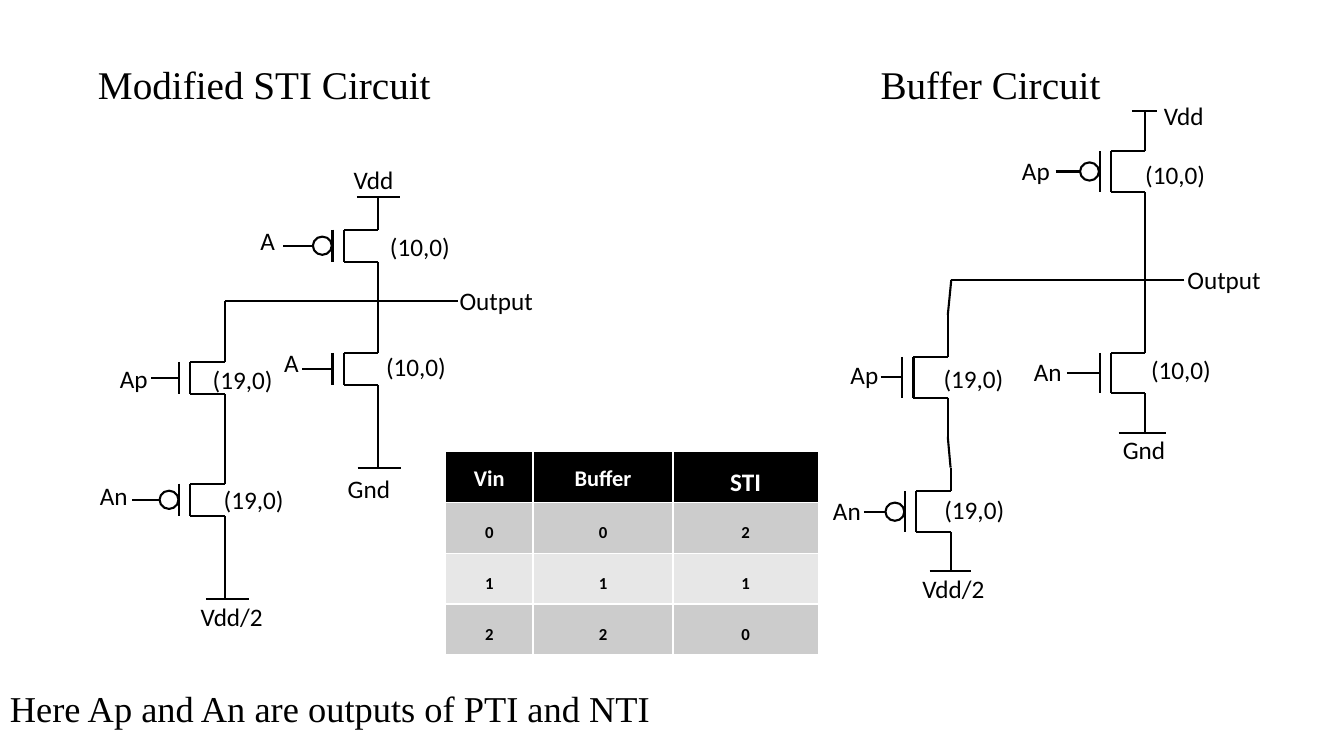
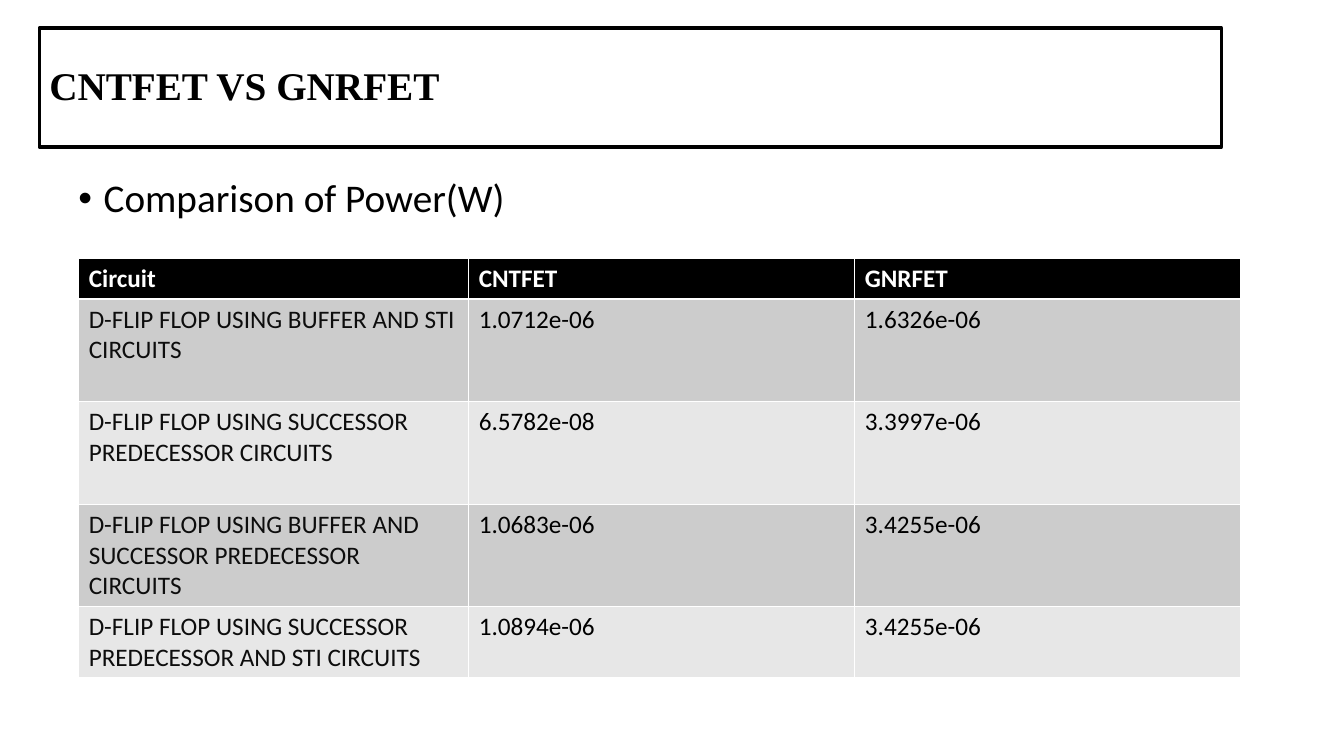
import itertools
from dataclasses import dataclass

import pptx
import pptx.util
import pptx.dml.color
import pptx.enum.shapes
import pptx.enum.text
import pptx.oxml
import pptx.oxml.ns

Pt = pptx.util.Pt
RGB = pptx.dml.color.RGBColor.from_string
ALIGN = pptx.enum.text.PP_ALIGN
MIDDLE = pptx.enum.text.MSO_ANCHOR.MIDDLE


@dataclass(frozen=True)
class Theme:
    ink: str = "000000"
    soft_ink: str = "0D0D0D"
    paper: str = "FFFFFF"
    bands: tuple = ("CCCCCC", "E7E7E7")
    serif: str = "Times New Roman"
    sans: str = "Calibri"
    title: float = 28
    note: float = 26
    label: float = 18
    header: float = 16
    cell: float = 12
    wire: float = 1.5
    frame: float = 2.25


T = Theme()

HEADINGS = "Modified STI Circuit\tBuffer Circuit"
NOTE = "Here Ap and An are outputs of PTI and NTI"
STI = {
    "height": 23,
    "transistors": [
        ("p", 270, 164, 202.5), ("n", 270, 252, 216),
        ("n", 160.5, 258.5, 108), ("p", 160.5, 345.5, 94.5),
    ],
    "wires": [
        [(270, 141), (270, 164)],
        [(270, 187), (270, 252)],
        [(270, 275), (270, 334)],
        [(327, 215), (160.5, 215), (160.5, 258.5)],
        [(160.5, 281.5), (160.5, 345.5)],
        [(160.5, 368.5), (160.5, 428)],
    ],
    "rails": [(255, 286, 141), (255.5, 286.5, 334), (147, 178, 428)],
    "labels": [
        ("Vdd", 252.7, 128.2), ("Vdd/2", 143.3, 440.6), ("Gnd", 248.4, 349.2),
        ("A", 186, 172), ("A", 203, 259.2), ("Ap", 85.7, 270), ("An", 71.4, 354.2),
        ("(10,0)", 278.6, 175.7), ("(10,0)", 275.8, 262),
        ("(19,0)", 152, 271.4), ("(19,0)", 159.8, 356.4), ("Output", 328.3, 214.6),
    ],
}
BUFFER = {
    "height": 29,
    "transistors": [
        ("p", 818, 108, 754), ("n", 818, 252, 762),
        ("n", 677, 255, 629), ("p", 679, 351, 617),
    ],
    "wires": [
        [(818, 79), (818, 108)],
        [(818, 137), (818, 252)],
        [(818, 281), (818, 309)],
        [(846, 200), (679.5, 200), (677, 225), (677, 255)],
        [(677, 284), (677, 312), (679, 334), (679, 351)],
        [(679, 380), (679, 408)],
    ],
    "rails": [(808.5, 826.5, 79), (799, 833, 309), (664, 693.5, 408)],
    "labels": [
        ("Vdd", 831.4, 82.8), ("Vdd/2", 658.8, 420.5), ("Gnd", 802, 321),
        ("Ap", 730, 121.7), ("An", 738.5, 265), ("Ap", 607.5, 267.8), ("An", 595, 364.3),
        ("(10,0)", 818, 124.6), ("(10,0)", 822.2, 264.2),
        ("(19,0)", 674, 270), ("(19,0)", 674.6, 363.6), ("Output", 848.2, 199.4),
    ],
}
TRUTH = [
    ("Vin", "Buffer", "STI"),
    ("0", "0", "2"),
    ("1", "1", "1"),
    ("2", "2", "0"),
]

COMPARISON_TITLE = "CNTFET VS GNRFET"
BULLET = "Comparison of Power(W)"
POWER = [
    ("Circuit", "CNTFET", "GNRFET"),
    ("D-FLIP FLOP USING BUFFER AND STI CIRCUITS", "1.0712e-06", "1.6326e-06"),
    ("D-FLIP FLOP USING SUCCESSOR PREDECESSOR CIRCUITS", "6.5782e-08", "3.3997e-06"),
    ("D-FLIP FLOP USING BUFFER AND SUCCESSOR PREDECESSOR CIRCUITS", "1.0683e-06", "3.4255e-06"),
    ("D-FLIP FLOP USING SUCCESSOR PREDECESSOR AND STI CIRCUITS", "1.0894e-06", "3.4255e-06"),
]

STUB, PLATE_GAP, BUBBLE_W, BUBBLE_H = 24.5, 8, 13.5, 13


def style(p, font, size, color=T.ink, bold=False):
    for r in p.runs:
        r.font.name, r.font.size, r.font.bold = font, Pt(size), bold
        r.font.color.rgb = RGB(color)


def add_ppr(p, xml):
    ns = pptx.oxml.ns.nsdecls("a")
    p._p.get_or_add_pPr().append(pptx.oxml.parse_xml(xml.replace("/>", f" {ns}/>", 1)
                                 if xml.endswith("/>") and xml.count("<") == 1
                                 else xml.replace(">", f" {ns}>", 1)))


def set_margins(tf, x, y):
    tf.margin_left = tf.margin_right = Pt(x)
    tf.margin_top = tf.margin_bottom = Pt(y)


def add_title(s, text, x, y, w, h, bold=False):
    sp = s.shapes.title
    sp.left, sp.top, sp.width, sp.height = Pt(x), Pt(y), Pt(w), Pt(h)
    tf = sp.text_frame
    tf.text = text
    tf.word_wrap = True
    tf.auto_size = pptx.enum.text.MSO_AUTO_SIZE.NONE
    tf.vertical_anchor = MIDDLE
    p = tf.paragraphs[0]
    p.alignment, p.line_spacing = ALIGN.LEFT, 0.9
    style(p, T.serif, T.title, bold=bold)
    return sp


def add_text(s, text, x, y, w, h, font, size, wrap=True):
    tf = s.shapes.add_textbox(Pt(x), Pt(y), Pt(w), Pt(h)).text_frame
    tf.word_wrap = wrap
    tf.text = text
    tf.vertical_anchor = MIDDLE
    style(tf.paragraphs[0], font, size)
    return tf


def add_wire(s, *points):
    for (x1, y1), (x2, y2) in itertools.pairwise(points):
        line = s.shapes.add_connector(pptx.enum.shapes.MSO_CONNECTOR.STRAIGHT,
                                      Pt(x1), Pt(y1), Pt(x2), Pt(y2))
        line.line.color.rgb = RGB(T.ink)
        line.line.width = Pt(T.wire)
        line._element.spPr.append(pptx.oxml.parse_xml(
            f"<a:effectLst {pptx.oxml.ns.nsdecls('a')}/>"))


def add_transistor(s, kind, x, y, gate_x, h):
    inner, plate, mid = x - STUB, x - STUB - PLATE_GAP, y + h / 2
    add_wire(s, (x, y), (inner, y), (inner, y + h), (x, y + h))
    add_wire(s, (plate, y), (plate, y + h))
    gate_end = plate
    if kind == "p":
        gate_end = plate - BUBBLE_W - 0.5
        sp = s.shapes.add_shape(pptx.enum.shapes.MSO_SHAPE.FLOWCHART_CONNECTOR,
                                Pt(gate_end), Pt(mid - BUBBLE_H / 2), Pt(BUBBLE_W), Pt(BUBBLE_H))
        sp.shadow.inherit = False
        sp.fill.solid()
        sp.fill.fore_color.rgb = RGB(T.paper)
        sp.line.color.rgb = RGB(T.ink)
        sp.line.width = Pt(T.wire)
    add_wire(s, (gate_x, mid), (gate_end, mid))


def add_circuit(s, circuit):
    for points in circuit["wires"]:
        add_wire(s, *points)
    for left, right, y in circuit["rails"]:
        add_wire(s, (left, y), (right, y))
    for kind, x, y, gate_x in circuit["transistors"]:
        add_transistor(s, kind, x, y, gate_x, circuit["height"])
    for text, x, y in circuit["labels"]:
        tf = add_text(s, text, x, y - 11, 56, 22, T.sans, T.label, wrap=False)
        set_margins(tf, 0, 0)


def add_table(s, rows, x, y, widths, heights, format_cell):
    table = s.shapes.add_table(len(rows), len(widths), Pt(x), Pt(y),
                               Pt(sum(widths)), Pt(sum(heights))).table
    for column, w in zip(table.columns, widths):
        column.width = Pt(w)
    for row, h in zip(table.rows, heights):
        row.height = Pt(h)
    for i, row in enumerate(rows):
        for j, text in enumerate(row):
            cell = table.cell(i, j)
            cell.text = text
            cell.fill.solid()
            cell.fill.fore_color.rgb = RGB(T.ink if i == 0 else T.bands[(i - 1) % 2])
            format_cell(cell, i, j)


def format_truth(cell, i, j):
    set_margins(cell, 5, 0)
    p = cell.text_frame.paragraphs[0]
    p.alignment, p.space_after = ALIGN.CENTER, Pt(8)
    p.line_spacing = 1.5 if i == 0 else 2.0
    if i == 0:
        style(p, T.sans, T.label if j == 2 else T.header, T.paper, True)
    else:
        style(p, T.sans, T.cell, bold=True)


def format_power(cell, i, j):
    color = T.paper if i == 0 else T.soft_ink if j == 0 else T.ink
    style(cell.text_frame.paragraphs[0], T.sans, T.label, color, i == 0)


def build_circuits(prs):
    s = prs.slides.add_slide(prs.slide_layouts[5])
    sp = add_title(s, HEADINGS, 70, 42, 780, 40)
    set_margins(sp.text_frame, 0, 0)
    add_ppr(sp.text_frame.paragraphs[0],
            f'<a:tabLst><a:tab pos="{Pt(559)}" algn="l"/></a:tabLst>')
    add_circuit(s, STI)
    add_circuit(s, BUFFER)
    add_table(s, TRUTH, 318.2, 322.6, [62.6, 100, 103.7], [36.3] * 4, format_truth)
    add_text(s, NOTE, 0, 487, 960, 38, T.serif, T.note)


def build_comparison(prs):
    s = prs.slides.add_slide(prs.slide_layouts[5])
    sp = add_title(s, COMPARISON_TITLE, 28, 20, 844.5, 85, bold=True)
    sp.line.color.rgb = RGB(T.ink)
    sp.line.width = Pt(T.frame)
    p = add_text(s, BULLET, 49, 124, 844.5, 38, T.sans, T.title).paragraphs[0]
    p.line_spacing = 0.9
    ppr = p._p.get_or_add_pPr()
    ppr.set("marL", str(Pt(18)))
    ppr.set("indent", str(-Pt(18)))
    add_ppr(p, '<a:buFont typeface="Arial"/>')
    add_ppr(p, '<a:buChar char="•"/>')
    add_table(s, POWER, 56.2, 184.6, [278.6, 275.8, 275.8],
              [29, 73.3, 73.3, 73.3, 50], format_power)


def main():
    prs = pptx.Presentation()
    prs.slide_width, prs.slide_height = Pt(960), Pt(540)
    build_circuits(prs)
    build_comparison(prs)
    prs.save("out.pptx")


if __name__ == "__main__":
    main()
